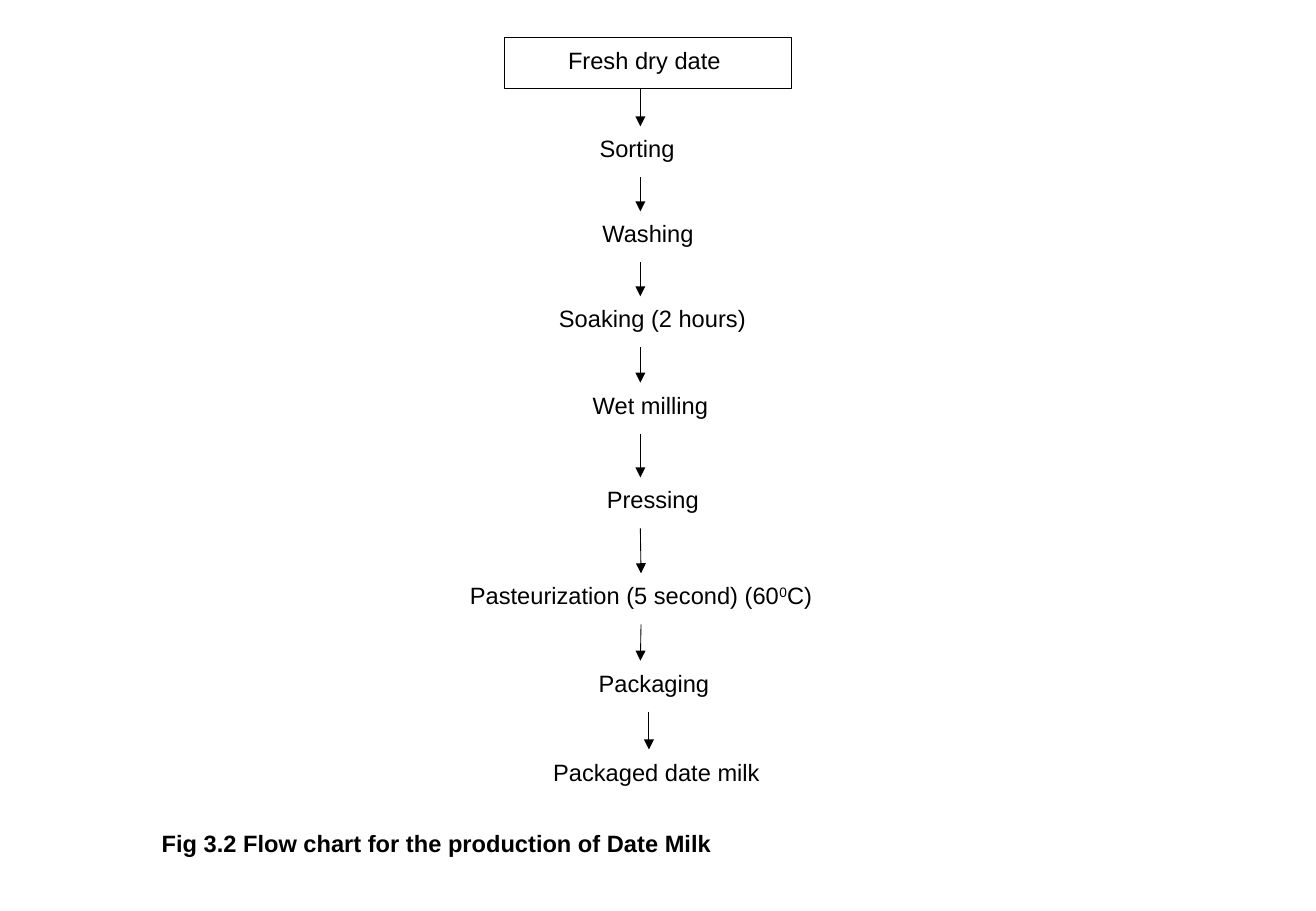
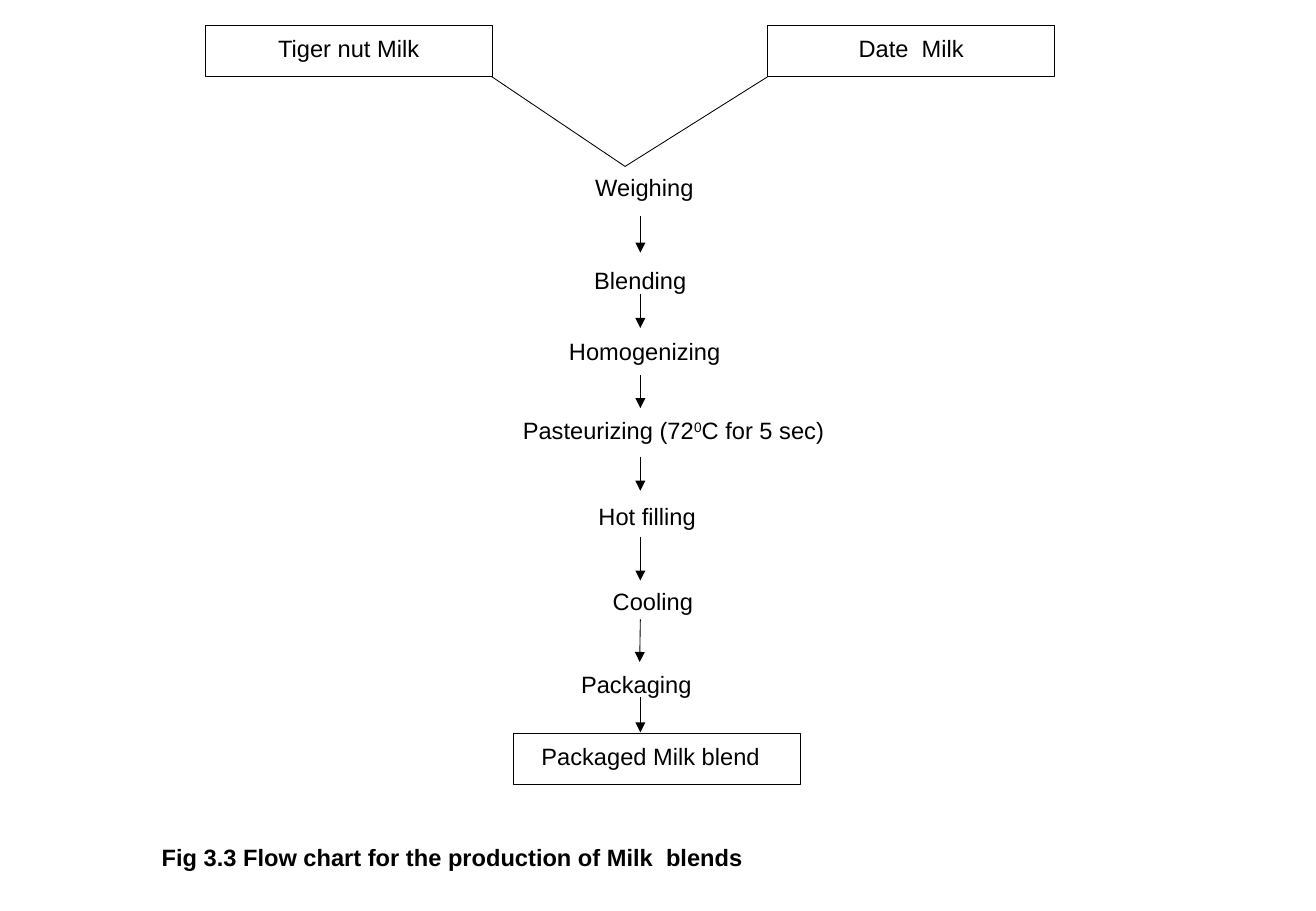
"""Build two flow charts for date milk and milk blend production."""
import dataclasses
import itertools
import typing

import pptx
import pptx.dml.color
import pptx.enum.shapes
import pptx.enum.text
import pptx.oxml
import pptx.oxml.ns
import pptx.util

BLACK = pptx.dml.color.RGBColor(0x00, 0x00, 0x00)
WHITE = pptx.dml.color.RGBColor(0xFF, 0xFF, 0xFF)

SLIDE_WIDTH = pptx.util.Inches(10.83)
SLIDE_HEIGHT = pptx.util.Inches(7.5)
BOX_WIDTH = 21.79
BOX_HEIGHT = 5.6
AXIS = 48.66
CAPTION_LEFT = 11.36
CAPTION_WIDTH = 77.29
LINE_WIDTH = pptx.util.Pt(0.5)

ALIGN = pptx.enum.text.PP_ALIGN
FONT_FORMAT = {"name": "Arial", "size": pptx.util.Pt(14)}
PARAGRAPH_FORMAT = {
    "line_spacing": 1.07,
    "space_before": pptx.util.Pt(0),
    "space_after": pptx.util.Pt(8),
}
FRAME_FORMAT = {
    "word_wrap": True,
    "auto_size": pptx.enum.text.MSO_AUTO_SIZE.NONE,
    "vertical_anchor": pptx.enum.text.MSO_ANCHOR.TOP,
}


@dataclasses.dataclass(frozen=True)
class Step:
    """A flow chart box; lengths are percentages of the slide, ^ marks superscript."""
    text: str
    center: float
    top: float
    width: float = BOX_WIDTH
    outlined: bool = False

    @property
    def bottom(self) -> float:
        return self.top + BOX_HEIGHT


@dataclasses.dataclass(frozen=True)
class Line:
    """A straight line between two points in percentages of the slide."""
    start_x: float
    start_y: float
    end_x: float
    end_y: float
    arrow: bool = True


@dataclasses.dataclass(frozen=True)
class Chart:
    """All the contents of one slide."""
    caption: str
    caption_top: float
    steps: list[Step]
    lines: list[Line]


def across(share: float) -> int:
    """Turn a percentage of the slide width into a length."""
    return round(SLIDE_WIDTH * share / 100)


def down(share: float) -> int:
    """Turn a percentage of the slide height into a length."""
    return round(SLIDE_HEIGHT * share / 100)


def apply_format(target: typing.Any, values: dict[str, typing.Any]) -> None:
    """Set every attribute named in the format values."""
    for name, value in values.items():
        setattr(target, name, value)


def write_text(shape: typing.Any, text: str, alignment: typing.Any, bold: bool = False) -> None:
    """Write one formatted paragraph into a shape."""
    apply_format(shape.text_frame, FRAME_FORMAT)
    paragraph = shape.text_frame.paragraphs[0]
    apply_format(paragraph, PARAGRAPH_FORMAT | {"alignment": alignment})
    for index, part in enumerate(text.split("^")):
        run = paragraph.add_run()
        run.text = part
        apply_format(run.font, FONT_FORMAT | {"bold": bold})
        run.font.color.rgb = BLACK
        if index % 2:
            run.font._element.set("baseline", "30000")


def draw_step(slide: typing.Any, step: Step) -> typing.Any:
    """Draw one box with its text."""
    shape = slide.shapes.add_shape(
        pptx.enum.shapes.MSO_SHAPE.RECTANGLE,
        across(step.center - step.width / 2), down(step.top),
        across(step.width), down(BOX_HEIGHT),
    )
    shape.shadow.inherit = False
    shape.fill.solid()
    shape.fill.fore_color.rgb = WHITE
    if step.outlined:
        shape.line.color.rgb = BLACK
        shape.line.width = LINE_WIDTH
    else:
        shape.line.fill.background()
    write_text(shape, step.text, ALIGN.CENTER)
    return shape


def draw_line(slide: typing.Any, line: Line, boxes: list[tuple[Step, typing.Any]]) -> None:
    """Draw one line and join it to the boxes whose side middles it meets."""
    connector = slide.shapes.add_connector(
        pptx.enum.shapes.MSO_CONNECTOR.STRAIGHT,
        across(line.start_x), down(line.start_y), across(line.end_x), down(line.end_y),
    )
    connector.line.color.rgb = BLACK
    connector.line.width = LINE_WIDTH
    if line.arrow:
        head = pptx.oxml.parse_xml(
            f'<a:tailEnd {pptx.oxml.ns.nsdecls("a")} type="triangle"/>')
        connector.get_or_add_ln().append(head)
    effects = pptx.oxml.parse_xml(f'<a:effectLst {pptx.oxml.ns.nsdecls("a")}/>')
    connector._element.spPr.append(effects)
    for step, shape in boxes:
        if abs(step.center - line.start_x) < 0.1 and abs(step.bottom - line.start_y) < 0.3:
            connector.begin_connect(shape, 2)
        if abs(step.center - line.end_x) < 0.1 and abs(step.top - line.end_y) < 0.3:
            connector.end_connect(shape, 0)


def draw_chart(presentation: typing.Any, chart: Chart) -> None:
    """Add a slide with the caption, boxes and lines of a chart."""
    slide = presentation.slides.add_slide(presentation.slide_layouts[5])
    title = slide.shapes.title
    apply_format(title, {
        "left": across(CAPTION_LEFT), "top": down(chart.caption_top),
        "width": across(CAPTION_WIDTH), "height": down(BOX_HEIGHT),
    })
    write_text(title, chart.caption, ALIGN.LEFT, bold=True)
    boxes = [(step, draw_step(slide, step)) for step in chart.steps]
    for line in chart.lines:
        draw_line(slide, line, boxes)


DATE_STEPS = [
    Step("Fresh dry date ", 49.22, 4.13, outlined=True),
    Step("Sorting ", AXIS, 13.87, 33.8),
    Step("Washing ", 49.49, 23.2),
    Step("Soaking (2 hours)", 49.58, 32.53),
    Step("Wet milling ", 49.68, 42),
    Step("Pressing ", 49.86, 52.4),
    Step("Pasteurization (5 second) (60^0^C)", 48.71, 62.93, 31.86),
    Step("Packaging ", 49.95, 72.53),
    Step("Packaged date milk ", 50.14, 82.27),
]
DATE_AXES = [AXIS] * 7 + [49.31]
DATE_LINES = [
    Line(axis, upper.bottom, axis, lower.top)
    for axis, (upper, lower) in zip(DATE_AXES, itertools.pairwise(DATE_STEPS))
]

BLEND_STEPS = [
    Step("Tiger nut Milk", 26.5, 2.8, outlined=True),
    Step("Date  Milk", 69.25, 2.8, outlined=True),
    Step("Weighing ", 49.22, 18.13),
    Step("Blending", AXIS, 28.27, 33.8),
    Step("Homogenizing  ", 49.49, 36.13),
    Step("Pasteurizing (72^0^C for 5 sec) ", 51.43, 44.8, 31.86),
    Step("Hot filling  ", 49.68, 54.27),
    Step("Cooling ", 49.86, 63.6),
    Step("Packaging ", 48.61, 72.67, 31.86),
    Step("Packaged Milk blend  ", 49.95, 80.53, outlined=True),
]
BLEND_SPANS = [
    (23.73, 27.73), (32.27, 36), (41.2, 44.8), (50.13, 53.87),
    (58.93, 63.73), (68, 72.93), (76.53, 80.4),
]
BLEND_LINES = [Line(AXIS, start, AXIS, end) for start, end in BLEND_SPANS] + [
    Line(corner, 8.4, 47.5, 18.27, arrow=False) for corner in (37.35, 58.36)
]

CHARTS = [
    Chart("Fig 3.2 Flow chart for the production of Date Milk", 90.13, DATE_STEPS, DATE_LINES),
    Chart("Fig 3.3 Flow chart for the production of Milk  blends", 91.6, BLEND_STEPS, BLEND_LINES),
]


def main() -> None:
    """Build and save the presentation."""
    presentation = pptx.Presentation()
    apply_format(presentation, {"slide_width": SLIDE_WIDTH, "slide_height": SLIDE_HEIGHT})
    for chart in CHARTS:
        draw_chart(presentation, chart)
    presentation.save("out.pptx")


if __name__ == "__main__":
    main()
